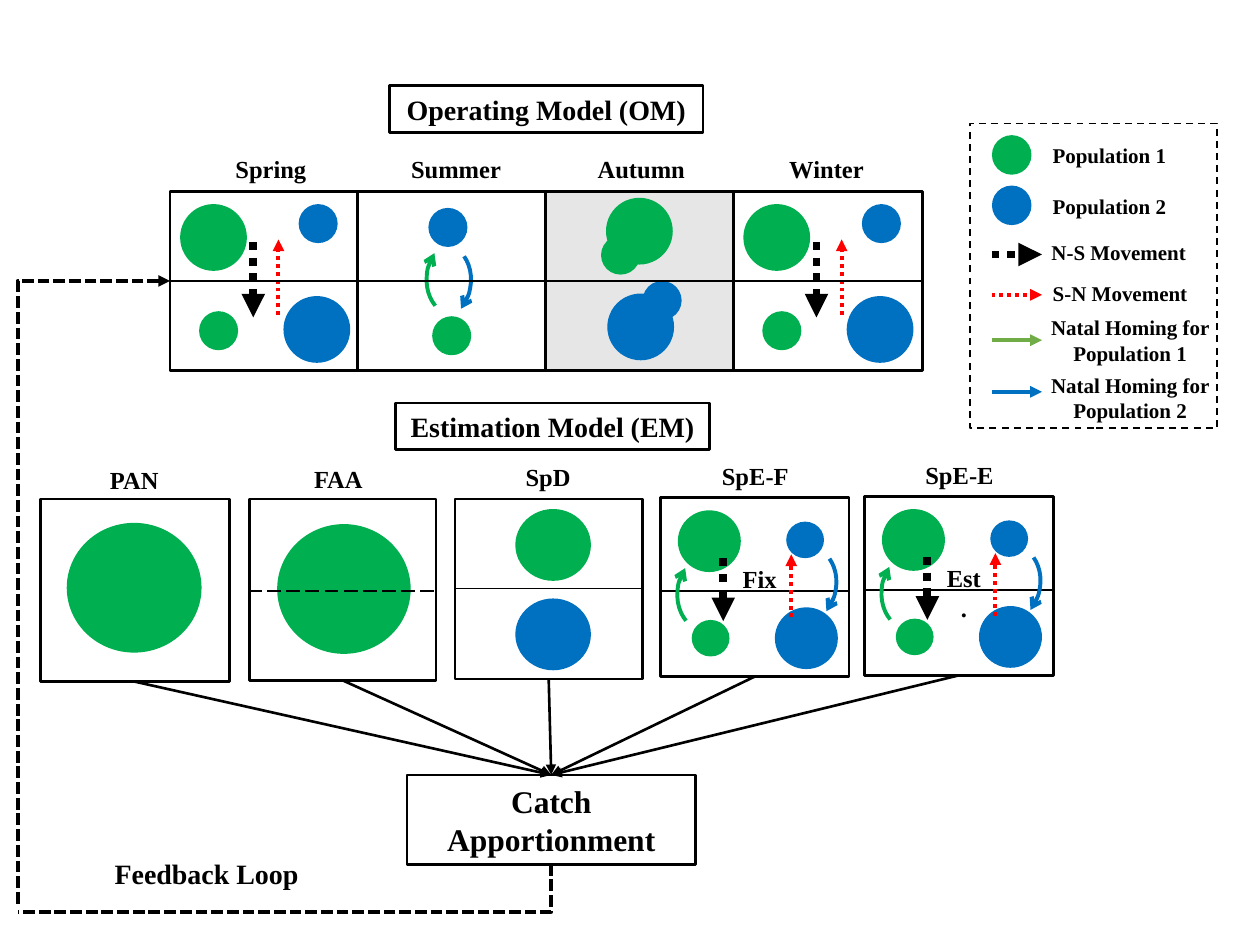
"""Build a slide of seasonal operating and estimation models with a feedback loop."""
from lxml import etree
from pptx import Presentation
from pptx.dml.color import RGBColor
from pptx.enum.dml import MSO_LINE
from pptx.enum.shapes import MSO_CONNECTOR, MSO_SHAPE
from pptx.enum.text import PP_ALIGN
from pptx.oxml.ns import qn
from pptx.util import Emu, Pt

PX = 9144
FONT = "Times New Roman"
RECTANGLE, OVAL, ARC = MSO_SHAPE.RECTANGLE, MSO_SHAPE.OVAL, MSO_SHAPE.ARC
STRAIGHT, ELBOW = MSO_CONNECTOR.STRAIGHT, MSO_CONNECTOR.ELBOW
DOT, SHORT_DASH = MSO_LINE.ROUND_DOT, MSO_LINE.SQUARE_DOT
DASH, LONG_DASH = MSO_LINE.DASH, MSO_LINE.LONG_DASH
CENTER = PP_ALIGN.CENTER
COLORS = {
    "black": "000000", "white": "FFFFFF", "gray": "E7E6E6", "green": "00B050",
    "blue": "0070C0", "red": "FF0000", "olive": "70AD47",
}

presentation = Presentation()
presentation.slide_width = Emu(1000 * PX)
presentation.slide_height = Emu(750 * PX)
slide = presentation.slides.add_slide(presentation.slide_layouts[6])


def add_shape(kind, box, fill=None, line=None, width=1.5, dash=None):
    shape = slide.shapes.add_shape(kind, *[Emu(value * PX) for value in box])
    shape.shadow.inherit = False
    if fill:
        shape.fill.solid()
        shape.fill.fore_color.rgb = RGBColor.from_string(COLORS[fill])
    else:
        shape.fill.background()
    if line:
        shape.line.color.rgb = RGBColor.from_string(COLORS[line])
        shape.line.width = Pt(width)
        if dash:
            shape.line.dash_style = dash
    else:
        shape.line.fill.background()
    return shape


def add_line(points, color="black", width=1, dash=None, arrow=None, kind=STRAIGHT):
    connector = slide.shapes.add_connector(kind, *[Emu(value * PX) for value in points])
    connector.line.color.rgb = RGBColor.from_string(COLORS[color])
    connector.line.width = Pt(width)
    if dash:
        connector.line.dash_style = dash
    properties = connector.element.spPr
    if arrow:
        etree.SubElement(properties.find(qn("a:ln")), qn(arrow), type="triangle")
    etree.SubElement(properties, qn("a:effectLst"))
    return connector


labels = []

seasons = []
for index, season in enumerate(["Spring", "Summer", "Autumn", "Winter"]):
    fill = "gray" if season == "Autumn" else "white"
    box = (135 + 149 * index, 152, 150, 142)
    seasons.append(add_shape(RECTANGLE, box, fill, "black"))
    labels.append(((165 + 147 * index, 117, 100, 34), season, 14))

estimation_panels = []
for name, box, label_box in [
    ("PAN", (32, 396, 150, 145), (77, 364, 59, 34)),
    ("FAA", (198, 396, 148, 144), (239, 363, 59, 34)),
    ("SpD", (361, 396, 149, 143), (407, 362, 56, 34)),
    ("SpE-F", (524, 395, 150, 142), (563, 361, 73, 34)),
    ("SpE-E", (686, 394, 150, 142), (724, 360, 75, 34)),
]:
    estimation_panels.append(add_shape(RECTANGLE, box, "white", "black"))
    labels.append((label_box, name, 14))

circles = [
    (343, 251, 31, 31, "green"), (340, 165, 31, 31, "blue"),
    (481, 157, 53, 53, "green"), (477, 187, 31, 31, "green"),
    (482, 233, 53, 53, "blue"), (510, 223, 31, 31, "blue"),
    (53, 415, 107, 103, "green"), (220, 416, 106, 103, "green"),
    (409, 404, 60, 57, "green"), (409, 475, 60, 57, "blue"),
]
movements = []
homing_arcs = [(309, 190, 36.2, "blue"), (340, 181, 211.9, "green")]

for shift in (0, 447):
    circles += [
        (143 + shift, 162, 53, 53, "green"), (225 + shift, 235, 53, 53, "blue"),
        (158 + shift, 247, 31, 31, "green"), (237 + shift, 162, 31, 31, "blue"),
    ]
    movements += [
        ((201 + shift, 192, 201 + shift, 252), "black", 4.5),
        ((221 + shift, 250, 221 + shift, 190), "red", 2.25),
    ]

for shift, rise, mode in [(0, 0, "Fix"), (162, 1, "Est.")]:
    circles += [
        (538 + shift, 405 - rise, 50, 49, "green"),
        (615 + shift, 482 - rise, 50, 49, "blue"),
        (549 + shift, 492 - rise, 30, 29, "green"),
        (624 + shift, 414 - rise, 30, 29, "blue"),
    ]
    movements += [
        ((574 + shift, 443 - rise, 574 + shift, 493 - rise), "black", 4.5),
        ((628 + shift, 490 - rise, 628 + shift, 440 - rise), "red", 2.25),
    ]
    homing_arcs += [
        (599 + shift, 430 - rise, 36.2, "blue"),
        (539 + shift, 431 - rise, 211.9, "green"),
    ]
    add_line((524 + shift, 469 - rise, 673 + shift, 469 - rise))
    labels.append(((578 + shift, 443 - rise, 50, 34), mode, 14))

for *box, color in circles:
    add_shape(OVAL, box, color)

add_line((197, 469, 345, 469), dash=LONG_DASH)
add_line((362, 467, 510, 467))

for points, color, width in movements:
    add_line(points, color, width, DOT, "a:tailEnd")

for left, top, rotation, color in homing_arcs:
    arc = add_shape(ARC, (left, top, 63, 73), None, color, 2.25)
    arc.adjustments[0] = 170.472
    arc.adjustments[1] = 0
    arc.rotation = rotation
    etree.SubElement(arc.element.spPr.find(qn("a:ln")), qn("a:tailEnd"), type="arrow")

season_divider = add_line((135, 223, 732, 223))
season_divider.begin_connect(seasons[0], 1)
season_divider.end_connect(seasons[-1], 3)

add_shape(RECTANGLE, (770, 98, 196, 242), None, "black", 1, DASH)
for top, color in [(108, "green"), (148, "blue")]:
    add_shape(OVAL, (788, top, 30, 30), color, color, 1)
for middle, color, width, dash in [
    (202, "black", 4.5, DOT), (234, "red", 2.25, DOT),
    (270, "olive", 2.25, None), (311, "blue", 2.25, None),
]:
    add_line((787, middle, 827, middle), color, width, dash, "a:tailEnd")
labels += [
    ((793, 108, 175, 30), "Population 1", 12),
    ((793, 149, 175, 30), "Population 2", 12),
    ((808, 185, 160, 30), "N-S Movement", 12),
    ((809, 218, 160, 30), "S-N Movement", 12),
    ((820, 245, 154, 50), "Natal Homing for Population 1", 12),
    ((820, 291, 154, 50), "Natal Homing for Population 2", 12),
    ((81, 675, 166, 37), "Feedback Loop", 16),
]

text_shapes = []
for box, text, size in [
    ((309, 68, 249, 37), "Operating Model (OM)", 16),
    ((314, 320, 249, 37), "Estimation Model (EM)", 16),
    ((323, 615, 229, 71), "Catch Apportionment", 18),
]:
    text_shapes.append((add_shape(RECTANGLE, box, None, "black"), text, size))
catch = text_shapes[-1][0]

for panel in estimation_panels:
    arrow = add_line((437, 540, 437, 615), width=1.5, arrow="a:tailEnd")
    arrow.begin_connect(panel, 2)
    arrow.end_connect(catch, 0)

for points, rotation, arrow in [
    ((207, 493, 245, 916), 90, None),
    ((135, 223, 14, 720), 0, "a:headEnd"),
]:
    feedback = add_line(points, "black", 2.25, SHORT_DASH, arrow, ELBOW)
    properties = feedback.element.spPr
    properties.find(qn("a:prstGeom")).set("prst", "bentConnector2")
    properties.find(qn("a:xfrm")).set("rot", str(rotation * 60000))

for box, text, size in labels:
    label = slide.shapes.add_textbox(*[Emu(value * PX) for value in box])
    text_shapes.append((label, text, size))

for shape, text, size in text_shapes:
    shape.text_frame.word_wrap = " " in text
    paragraph = shape.text_frame.paragraphs[0]
    paragraph.alignment = CENTER
    run = paragraph.add_run()
    run.text = text
    run.font.name = FONT
    run.font.size = Pt(size)
    run.font.bold = True
    run.font.color.rgb = RGBColor.from_string(COLORS["black"])

presentation.save("out.pptx")
